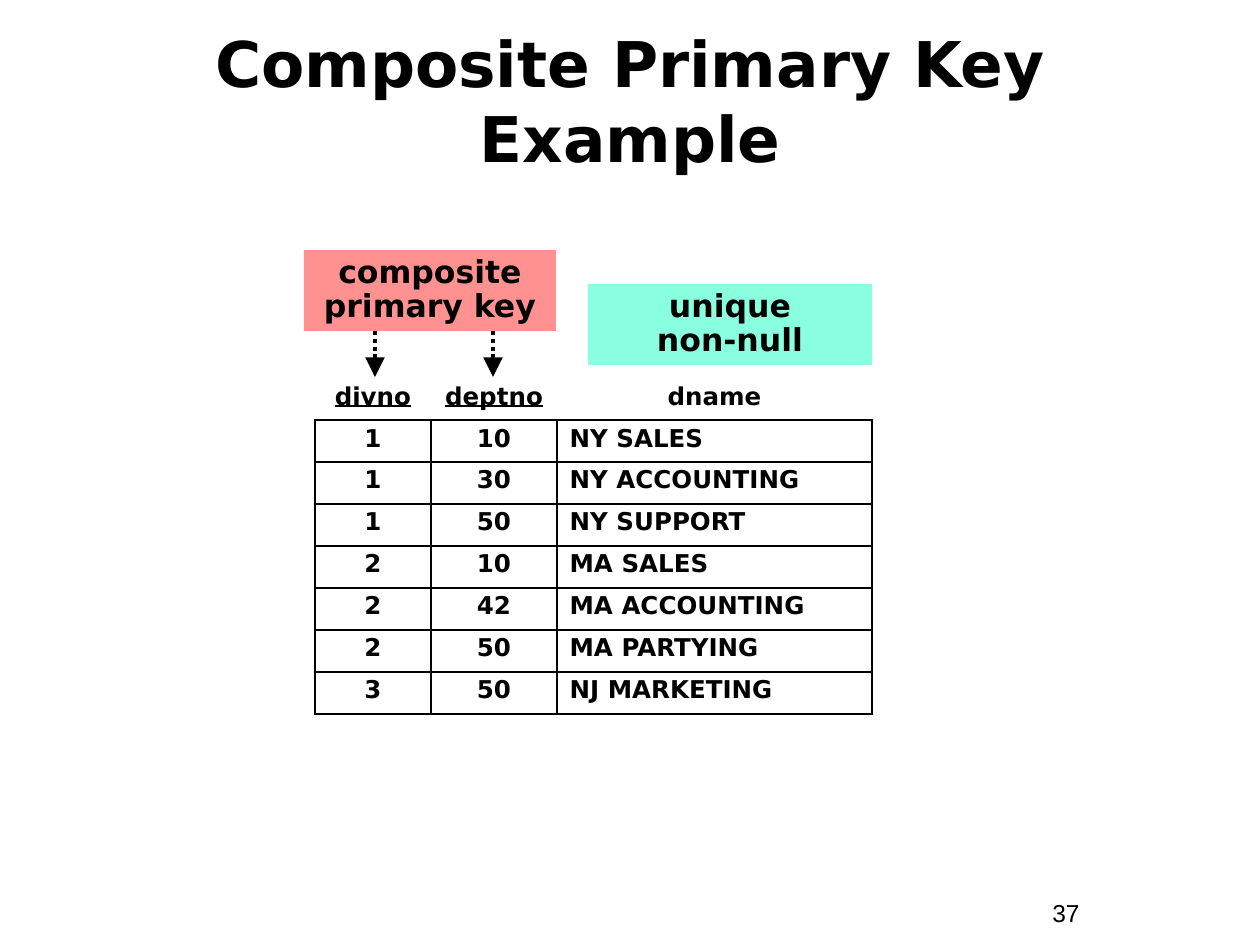
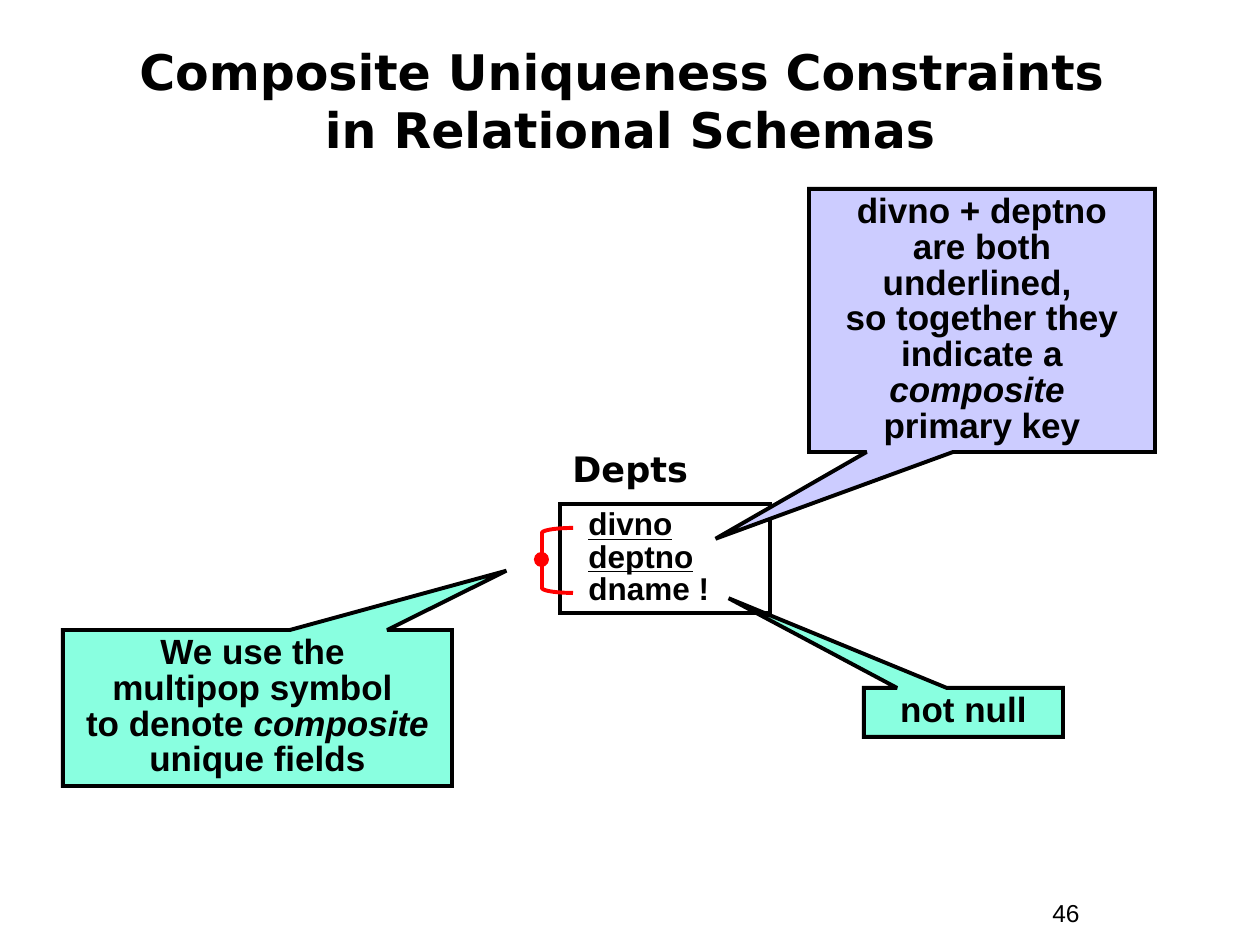
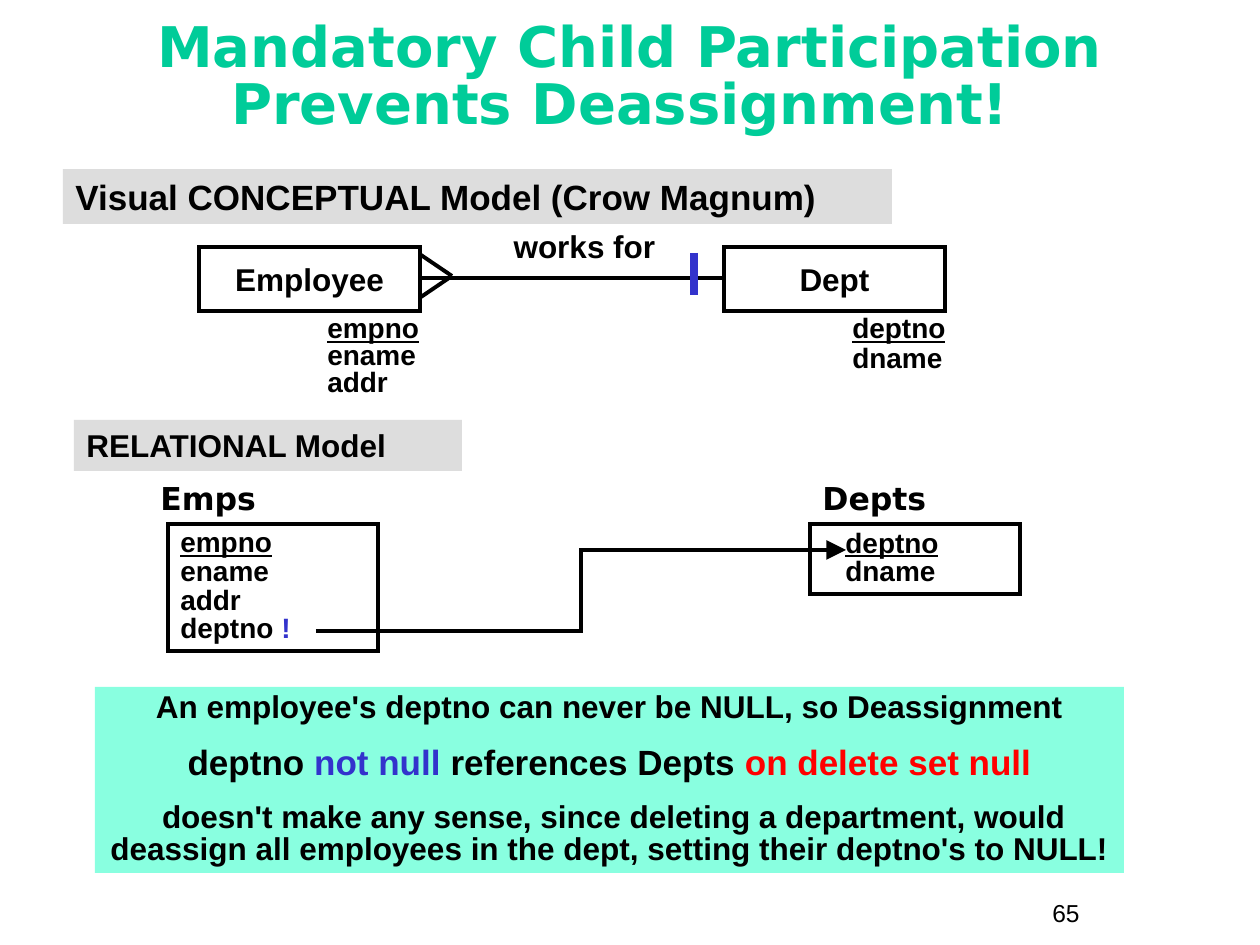
from dataclasses import dataclass, replace
from math import cos, pi, sin

from lxml.etree import SubElement
from pptx import Presentation
from pptx.dml.color import RGBColor
from pptx.enum.dml import MSO_LINE
from pptx.enum.shapes import MSO_CONNECTOR, MSO_SHAPE
from pptx.enum.text import MSO_ANCHOR, PP_ALIGN
from pptx.oxml.ns import qn
from pptx.util import Pt

EMU_PER_PX = 914400 / 126

BLACK = RGBColor(0x00, 0x00, 0x00)
GREEN = RGBColor(0x00, 0xCC, 0x99)
MINT = RGBColor(0x89, 0xFF, 0xE0)
SALMON = RGBColor(0xFF, 0x91, 0x91)
LAVENDER = RGBColor(0xCC, 0xCC, 0xFF)
GRAY = RGBColor(0xDD, 0xDD, 0xDD)
BLUE = RGBColor(0x33, 0x33, 0xCC)
RED = RGBColor(0xFF, 0x00, 0x00)

HEADING_FONT = "DejaVu Sans"
LINE_WIDTH = 2.25
BORDER_WIDTH = 1.08
PLAIN_TABLE_STYLE = "{2D5ABB26-0587-4C30-8999-92F81FD0307C}"


@dataclass(frozen=True)
class TextStyle:
    size: int
    font: str = "Arial"
    bold: bool = True
    color: RGBColor = BLACK
    align: PP_ALIGN = PP_ALIGN.LEFT
    spacing: float = 1.0
    before: float = 0
    underline: bool = False
    indent: int = 0


@dataclass(frozen=True)
class Run:
    text: str
    color: RGBColor = None
    italic: bool = None


TITLE = TextStyle(36, HEADING_FONT, align=PP_ALIGN.CENTER)
PAGE_NUMBER = TextStyle(14, bold=False)
CELL = TextStyle(14, HEADING_FONT, spacing=0.9)
KEY_NOTE = TextStyle(18, HEADING_FONT, align=PP_ALIGN.CENTER, spacing=0.9)
CALLOUT = TextStyle(20, align=PP_ALIGN.CENTER, spacing=0.85)
ENTITY = TextStyle(18, align=PP_ALIGN.CENTER)
CONCLUSION = TextStyle(18, align=PP_ALIGN.CENTER, spacing=0.85)


def px(length):
    return round(length * EMU_PER_PX)


def write(frame, paragraphs, anchor=MSO_ANCHOR.TOP):
    """Fill a text frame with (text or list of runs, style) pairs."""
    frame.word_wrap = True
    frame.vertical_anchor = anchor
    for index, (content, style) in enumerate(paragraphs):
        paragraph = frame.add_paragraph() if index else frame.paragraphs[0]
        write_paragraph(paragraph, content, style)


def write_paragraph(paragraph, content, style):
    paragraph.alignment = style.align
    paragraph.line_spacing = style.spacing
    if style.before:
        paragraph.space_before = Pt(style.before)
    if style.indent:
        properties = paragraph._p.get_or_add_pPr()
        properties.set("marL", str(px(style.indent)))
        properties.set("indent", "0")
    font = paragraph.font
    font.name, font.size, font.bold = style.font, Pt(style.size), style.bold
    font.underline = style.underline
    font.color.rgb = style.color
    for part in [Run(content)] if isinstance(content, str) else content:
        for index, text in enumerate(part.text.split("\n")):
            if index:
                paragraph.add_line_break()
            if not text:
                continue
            run = paragraph.add_run()
            run.text = text
            if part.color is not None:
                run.font.color.rgb = part.color
            if part.italic:
                run.font.italic = True


def add_text(slide, box, paragraphs, anchor=MSO_ANCHOR.TOP):
    text_box = slide.shapes.add_textbox(*map(px, box))
    write(text_box.text_frame, paragraphs, anchor)


def set_outline(shape, color):
    shape.line.color.rgb = color
    shape.line.width = Pt(LINE_WIDTH)
    SubElement(shape.line._get_or_add_ln(), qn("a:miter"), lim="800000")


def add_box(slide, box, paragraphs=(), fill=None, outline=None,
            kind=MSO_SHAPE.RECTANGLE, anchor=MSO_ANCHOR.TOP):
    shape = slide.shapes.add_shape(kind, *map(px, box))
    shape.shadow.inherit = False
    if fill is None:
        shape.fill.background()
    else:
        shape.fill.solid()
        shape.fill.fore_color.rgb = fill
    if outline is None:
        shape.line.fill.background()
    else:
        set_outline(shape, outline)
    write(shape.text_frame, paragraphs, anchor)
    return shape


def add_line(slide, start, end, color=BLACK, width=LINE_WIDTH, arrow=False,
             dash=None, kind=MSO_CONNECTOR.STRAIGHT):
    connector = slide.shapes.add_connector(kind, *map(px, (*start, *end)))
    connector.line.color.rgb = color
    connector.line.width = Pt(width)
    if dash:
        connector.line.dash_style = dash
    outline = connector.line._get_or_add_ln()
    SubElement(outline, qn("a:miter"), lim="800000")
    if arrow:
        SubElement(outline, qn("a:tailEnd"), type="triangle", w="lg", len="lg")
    SubElement(connector._element.spPr, qn("a:effectLst"))


def add_slide(presentation, title, number, style=TITLE, title_top=42):
    slide = presentation.slides.add_slide(presentation.slide_layouts[6])
    add_text(slide, (42, title_top, 1176, 116), [(title, style)],
             MSO_ANCHOR.MIDDLE)
    add_text(slide, (1040, 892, 116, 43), [(str(number), PAGE_NUMBER)])
    return slide


def set_borders(cell, sides):
    properties = cell._tc.get_or_add_tcPr()
    for side in sides:
        border = SubElement(properties, qn(f"a:ln{side}"),
                            w=str(Pt(BORDER_WIDTH)))
        fill = SubElement(border, qn("a:solidFill"))
        SubElement(fill, qn("a:srgbClr"), val=str(BLACK))


def add_department_table(slide, left, top):
    rows = [
        ("divno", "deptno", "dname"),
        ("1", "10", "NY SALES"),
        ("1", "30", "NY ACCOUNTING"),
        ("1", "50", "NY SUPPORT"),
        ("2", "10", "MA SALES"),
        ("2", "42", "MA ACCOUNTING"),
        ("2", "50", "MA PARTYING"),
        ("3", "50", "NJ MARKETING"),
    ]
    widths, row_height = (116, 126, 315), 42
    box = (left, top, sum(widths), row_height * len(rows))
    table = slide.shapes.add_table(len(rows), len(widths), *map(px, box)).table
    table.first_row = table.horz_banding = False
    table._tbl.tblPr.find(qn("a:tableStyleId")).text = PLAIN_TABLE_STYLE
    for column, width in zip(table.columns, widths):
        column.width = px(width)
    for row_index, values in enumerate(rows):
        table.rows[row_index].height = px(row_height)
        header = row_index == 0
        for column_index, value in enumerate(values):
            cell = table.cell(row_index, column_index)
            key = column_index < 2
            align = PP_ALIGN.CENTER if header or key else PP_ALIGN.LEFT
            style = replace(CELL, align=align, underline=header and key)
            write_paragraph(cell.text_frame.paragraphs[0], value, style)
            set_borders(cell, "B" if header else "LRTB")
            cell.fill.background()


def add_key_note(slide, left, top):
    """Composite key label with an arrow down to each key column."""
    add_box(slide, (left, top, 252, 81),
            [("composite\nprimary key", KEY_NOTE)], SALMON)
    for offset in (71, 189):
        add_line(slide, (left + offset, top + 81), (left + offset, top + 127),
                 arrow=True, dash=MSO_LINE.ROUND_DOT)


def add_callout(slide, box, pointer, content, fill):
    shape = add_box(slide, box, [(content, CALLOUT)], fill, BLACK,
                    MSO_SHAPE.RECTANGULAR_CALLOUT)
    shape.adjustments[0], shape.adjustments[1] = pointer


def add_schema(slide, box, name, fields, size, label_size, label_offset,
               keys=1, indent=0):
    """Relational table: name above a box of fields, the keys underlined."""
    left, top, width, _ = box
    label_left, label_top = label_offset
    add_text(slide, (left + label_left, top + label_top, width, 50),
             [(name, TextStyle(label_size, HEADING_FONT))])
    style = TextStyle(size, spacing=0.85, indent=indent)
    add_box(slide, box, [(field, replace(style, underline=index < keys))
                         for index, field in enumerate(fields)],
            outline=BLACK)


def add_multipop(slide, left, top):
    """Bracket with rounded corners and a dot at its middle."""
    width, height, corner, steps = 31, 65, 5, 12
    angles = [pi / 2 * step / steps for step in range(steps + 1)]
    upper = [(left + width * (1 - sin(angle)), top + corner * (1 - cos(angle)))
             for angle in angles]
    lower = [(x, 2 * top + height - y) for x, y in reversed(upper)]
    points = [(px(x), px(y)) for x, y in upper + lower]
    builder = slide.shapes.build_freeform(*points[0])
    builder.add_line_segments(points[1:], close=False)
    bracket = builder.convert_to_shape()
    bracket.shadow.inherit = False
    bracket.fill.background()
    set_outline(bracket, RED)
    add_box(slide, (left - 6, top + 26, 11, 11), fill=RED, outline=RED,
            kind=MSO_SHAPE.OVAL)


def add_entity(slide, left, top, name, fields, spacing):
    """Conceptual entity with its attributes below, the first one a key."""
    add_box(slide, (left, top, 221, 64), [(name, ENTITY)], outline=BLACK,
            anchor=MSO_ANCHOR.MIDDLE)
    key = TextStyle(16, spacing=0.8, underline=True)
    other = replace(key, spacing=spacing, underline=False)
    add_text(slide, (left + 116, top + 64, 147, 93),
             [(field, other if index else key)
              for index, field in enumerate(fields)])


def add_relationship(slide, left, top, width):
    """Crow's foot at the left end, mandatory bar near the right end."""
    add_line(slide, (left, top), (left + width, top))
    for spread in (-23, 19):
        add_line(slide, (left + 31, top - 2), (left, top + spread))
    bar = left + width - 29
    add_line(slide, (bar, top - 25), (bar, top + 17), BLUE, 4.5)
    add_text(slide, (left + 64, top - 57, 199, 50), [("works for", ENTITY)])


def add_band(slide, box, text, size):
    add_box(slide, box, [(text, TextStyle(size))], GRAY)


def add_conclusion(slide, box):
    add_box(slide, box, [
        ("An employee's deptno can never be NULL, so Deassignment",
         CONCLUSION),
        ([Run("deptno "), Run("not null", BLUE), Run(" references Depts"),
          Run(" on delete set null", RED)],
         replace(CONCLUSION, size=20, before=12.5)),
        (" doesn't make any sense, since deleting a department, would "
         "deassign all employees in the dept, setting their deptno's to NULL!",
         replace(CONCLUSION, before=11.2)),
    ], MINT)


def build_key_example(presentation):
    slide = add_slide(presentation, "Composite Primary Key Example", 37)
    add_department_table(slide, 315, 378)
    add_box(slide, (588, 284, 284, 81), [("unique\nnon-null", KEY_NOTE)], MINT)
    add_key_note(slide, 304, 250)


def build_uniqueness_constraints(presentation):
    slide = add_slide(
        presentation,
        "Composite Uniqueness Constraints \nin Relational Schemas", 46,
        replace(TITLE, size=28))
    add_schema(slide, (560, 504, 210, 109), "Depts",
               ["divno", "deptno", "dname !"], 18, 20, (0, -63),
               keys=2, indent=16)
    add_callout(slide, (809, 189, 346, 263), (-0.77, 0.83), [
        Run("divno + deptno\nare both underlined, \n"
            "so together they indicate a "),
        Run("composite \n", italic=True), Run("primary key")], LAVENDER)
    add_callout(slide, (63, 630, 389, 156), (0.64, -0.88), [
        Run("We use the \nmultipop symbol \nto denote "),
        Run("composite\n", italic=True), Run("unique fields")], MINT)
    add_callout(slide, (864, 688, 199, 49), (-1.18, -2.33), "not null", MINT)
    add_multipop(slide, 542, 528)


def build_mandatory_participation(presentation):
    slide = add_slide(
        presentation,
        "Mandatory Child Participation\nPrevents Deassignment! ", 65,
        replace(TITLE, size=32, color=GREEN, spacing=0.85), title_top=21)
    add_band(slide, (63, 169, 829, 55),
             "Visual CONCEPTUAL Model (Crow Magnum)", 20)
    add_entity(slide, 199, 247, "Employee", ["empno", "ename", "addr"], 0.8)
    add_entity(slide, 724, 247, "Dept", ["deptno", "dname"], 0.9)
    add_relationship(slide, 421, 278, 302)

    add_band(slide, (74, 420, 388, 51), "RELATIONAL Model", 18)
    add_schema(slide, (168, 524, 210, 127), "Emps",
               ["empno", "ename", "addr", [Run("deptno "), Run("!", BLUE)]],
               16, 18, (-20, -51))
    add_schema(slide, (810, 524, 210, 70), "Depts", ["deptno", "dname"],
               16, 18, (0, -51), indent=23)
    add_line(slide, (316, 631), (846, 550), arrow=True,
             kind=MSO_CONNECTOR.ELBOW)
    add_conclusion(slide, (95, 687, 1029, 186))


def main():
    presentation = Presentation()
    presentation.slide_width = px(1260)
    presentation.slide_height = px(945)
    build_key_example(presentation)
    build_uniqueness_constraints(presentation)
    build_mandatory_participation(presentation)
    presentation.save("out.pptx")


if __name__ == "__main__":
    main()
